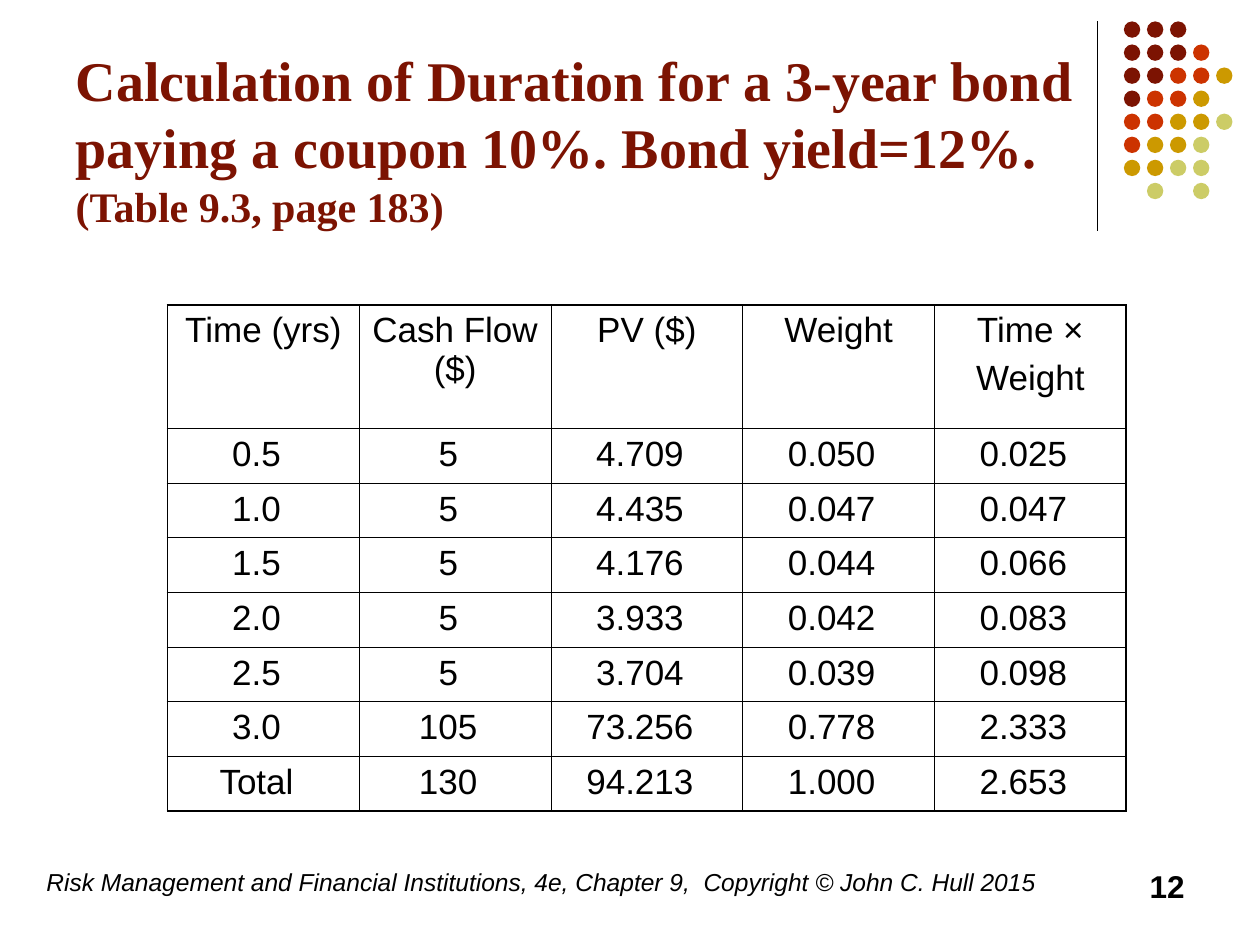
import dataclasses

import lxml.etree
import pptx
import pptx.dml.color
import pptx.enum.shapes
import pptx.enum.text
import pptx.oxml.ns
import pptx.util

Inches = pptx.util.Inches
Pt = pptx.util.Pt
RGBColor = pptx.dml.color.RGBColor
Align = pptx.enum.text.PP_ALIGN
Anchor = pptx.enum.text.MSO_ANCHOR
qn = pptx.oxml.ns.qn

BLACK = RGBColor(0x00, 0x00, 0x00)
MAROON = RGBColor(0x7C, 0x13, 0x02)
RED = RGBColor(0xCC, 0x33, 0x00)
GOLD = RGBColor(0xCC, 0x99, 0x00)
LIME = RGBColor(0xCC, 0xCC, 0x66)

DOT_COLORS = {"M": MAROON, "R": RED, "G": GOLD, "L": LIME}
DOT_ROWS = ["MMM", "MMMR", "MMRRG", "MRRG", "RRGGL", "RGGL", "GGLL", " L L"]
DOT_PITCH = 0.183
DOT_SIZE = 0.13

HEADER = ["Time (yrs)", "Cash Flow ($)", "PV ($)", "Weight", "Time ×\nWeight"]
ROWS = [
    ["0.5", "5", "4.709", "0.050", "0.025"],
    ["1.0", "5", "4.435", "0.047", "0.047"],
    ["1.5", "5", "4.176", "0.044", "0.066"],
    ["2.0", "5", "3.933", "0.042", "0.083"],
    ["2.5", "5", "3.704", "0.039", "0.098"],
    ["3.0", "105", "73.256", "0.778", "2.333"],
    ["Total", "130", "94.213", "1.000", "2.653"],
]
THIN, THICK = 0.45, 1.08


@dataclasses.dataclass
class Note:
    text: str
    left: float
    width: float
    align: Align
    font: dict


NOTES = [
    Note("Risk Management and Financial Institutions, 4e, Chapter 9,  "
         "Copyright © John C. Hull 2015",
         0.27, 8.27, Align.LEFT, {"size": Pt(14), "italic": True}),
    Note("12", 7.17, 2.33, Align.RIGHT, {"size": Pt(18), "bold": True}),
]


def format_font(font, color: RGBColor, **values) -> None:
    for name, value in values.items():
        setattr(font, name, value)
    font.color.rgb = color


def add_title(page) -> None:
    title = page.shapes.title
    place = {"left": 0.5, "top": 0.47, "width": 8.25, "height": 1.41}
    for name, value in place.items():
        setattr(title, name, Inches(value))
    frame = title.text_frame
    frame.auto_size = pptx.enum.text.MSO_AUTO_SIZE.NONE
    frame.word_wrap = True
    frame.vertical_anchor = Anchor.BOTTOM
    para = frame.paragraphs[0]
    para.alignment = Align.LEFT
    parts = [("Calculation of Duration for a 3-year bond paying a coupon 10%. "
              "Bond yield=12%. ", 32), ("(Table 9.3, page 183)", 24)]
    for text, size in parts:
        span = para.add_run()
        span.text = text
        format_font(span.font, MAROON, name="Times New Roman", size=Pt(size), bold=True)


def add_rule(page) -> None:
    rule = page.shapes.add_connector(
        pptx.enum.shapes.MSO_CONNECTOR.STRAIGHT,
        Inches(8.71), Inches(0.17), Inches(8.71), Inches(1.83))
    rule.line.color.rgb = BLACK
    rule.line.width = Pt(0.75)
    lxml.etree.SubElement(rule._element.spPr, qn("a:effectLst"))


def add_dots(page) -> None:
    group = page.shapes.add_group_shape()
    for row, marks in enumerate(DOT_ROWS):
        for column, mark in enumerate(marks):
            if mark == " ":
                continue
            dot = group.shapes.add_shape(
                pptx.enum.shapes.MSO_SHAPE.OVAL,
                Inches(8.92 + column * DOT_PITCH), Inches(0.17 + row * DOT_PITCH),
                Inches(DOT_SIZE), Inches(DOT_SIZE))
            dot.shadow.inherit = False
            dot.fill.solid()
            dot.fill.fore_color.rgb = DOT_COLORS[mark]
            dot.line.fill.background()


def add_note(page, note: Note) -> None:
    box = page.shapes.add_textbox(
        Inches(note.left), Inches(6.83), Inches(note.width), Inches(0.5))
    box.text_frame.word_wrap = True
    para = box.text_frame.paragraphs[0]
    para.text = note.text
    para.alignment = note.align
    format_font(para.font, BLACK, name="Arial", **note.font)


def set_borders(cell, widths: dict) -> None:
    properties = cell._tc.get_or_add_tcPr()
    for index, (side, width) in enumerate(widths.items()):
        line = lxml.etree.Element(qn(f"a:ln{side}"), w=str(Pt(width)))
        fill = lxml.etree.SubElement(line, qn("a:solidFill"))
        lxml.etree.SubElement(fill, qn("a:srgbClr"), val=str(BLACK))
        properties.insert(index, line)


def fill_cell(cell, text: str, right_margin: float) -> None:
    cell.fill.background()
    cell.margin_right = Inches(right_margin)
    cell.text = text
    for index, para in enumerate(cell.text_frame.paragraphs):
        para.alignment = Align.CENTER
        if index:
            para.space_before = Pt(5)
        format_font(para.font, BLACK, name="Arial", size=Pt(20))


def add_duration_table(page) -> None:
    lines = [HEADER] + ROWS
    last_row, last_column = len(lines) - 1, len(HEADER) - 1
    table = page.shapes.add_table(
        len(lines), len(HEADER),
        Inches(1.33), Inches(2.42), Inches(7.61), Inches(4.01)).table
    table.first_row = table.horz_banding = False
    for row, texts in enumerate(lines):
        table.rows[row].height = Inches(0.43 if row else 0.98)
        for column, text in enumerate(texts):
            cell = table.cell(row, column)
            fill_cell(cell, text, 0.21 if row else 0.1)
            outer = {"L": column == 0, "R": column == last_column,
                     "T": row == 0, "B": row == last_row}
            set_borders(cell, {side: THICK if edge else THIN
                               for side, edge in outer.items()})


def main() -> None:
    deck = pptx.Presentation()
    deck.slide_width, deck.slide_height = Inches(10), Inches(7.5)
    page = deck.slides.add_slide(deck.slide_layouts[5])

    # Corner decoration
    add_rule(page)
    add_dots(page)

    # Heading and footer
    add_title(page)
    for note in NOTES:
        add_note(page, note)

    # Duration figures
    add_duration_table(page)
    deck.save("out.pptx")


if __name__ == "__main__":
    main()
